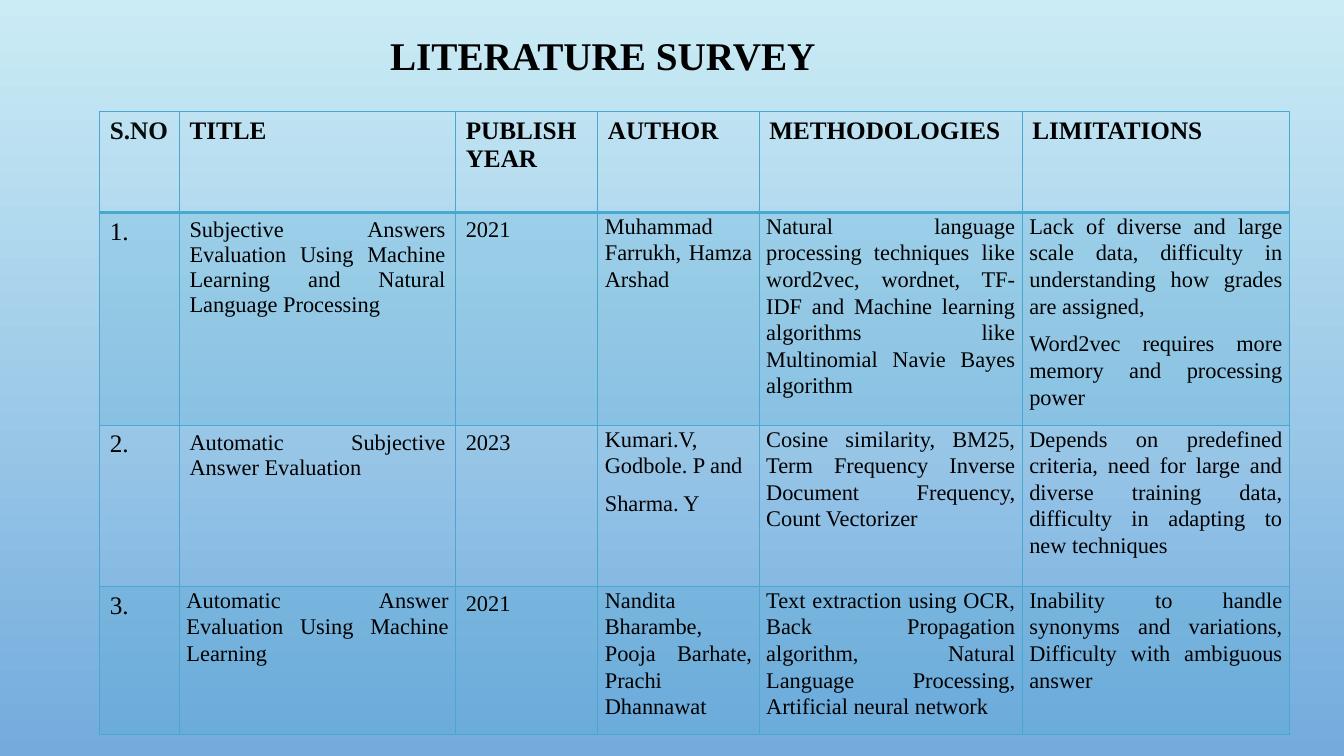
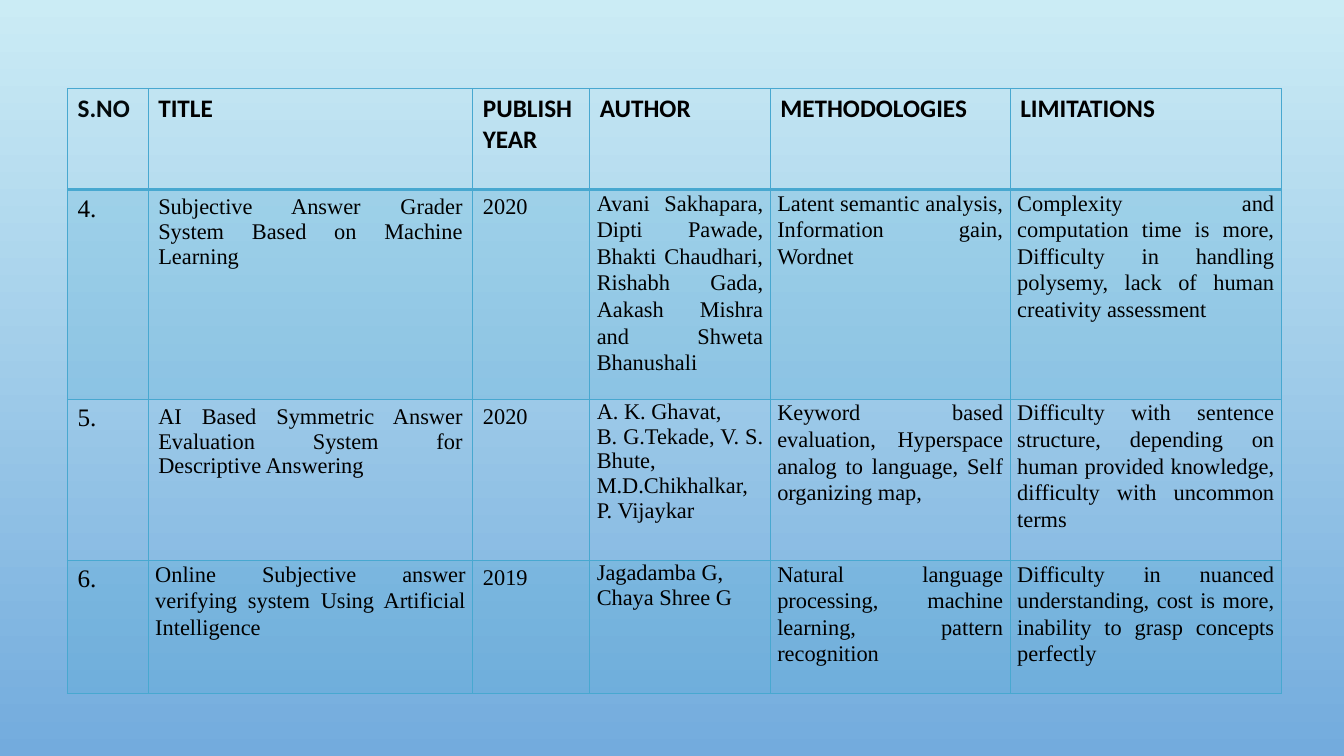
"""Build two literature survey slides, each with a table of three papers."""
import pptx
import pptx.dml.color
import pptx.enum.text
import pptx.oxml
import pptx.oxml.ns
import pptx.util

Inches = pptx.util.Inches
Pt = pptx.util.Pt
ALIGN = pptx.enum.text.PP_ALIGN
COLORS = {
    "sky": "CBECF5",
    "deep": "73ABDD",
    "accent": "48A8D0",
    "text": "000000",
    "number_heading": "030A0C",
}
SERIF = "Times New Roman"
HEADINGS = ["S.NO", "TITLE", "PUBLISH YEAR", "AUTHOR", "METHODOLOGIES", "LIMITATIONS"]


def rgb(name):
    return pptx.dml.color.RGBColor.from_string(COLORS[name])


def write(frame, text, size=16, font=SERIF, color="text", bold=False,
          align=ALIGN.LEFT, spacing=1.0, after=0):
    for index, line in enumerate(text.split("\n")):
        paragraph = frame.add_paragraph() if index else frame.paragraphs[0]
        paragraph.alignment = align
        paragraph.line_spacing = spacing
        paragraph.space_after = Pt(after)
        run = paragraph.add_run()
        run.text = line
        run.font.size = Pt(size)
        run.font.name = font
        run.font.bold = bold
        run.font.color.rgb = rgb(color)


surveys = [
    {
        "title": "LITERATURE SURVEY",
        "heading_font": SERIF,
        "left": 0.99,
        "top": 1.11,
        "widths": [0.79, 2.74, 1.41, 1.6, 2.61, 2.65],
        "heights": [1, 2.11, 1.6, 1.47],
        "single_spaced_authors": [],
        "papers": [
            ["1.", "Subjective Answers Evaluation Using Machine Learning and Natural Language Processing",
             "2021", "Muhammad Farrukh, Hamza Arshad",
             "Natural language processing techniques like word2vec, wordnet, TF-IDF and Machine "
             "learning algorithms like Multinomial Navie Bayes algorithm",
             "Lack of diverse and large scale data, difficulty in understanding how grades are assigned,\n"
             "Word2vec requires more memory and processing power"],
            ["2.", "Automatic Subjective Answer Evaluation",
             "2023", "Kumari.V, Godbole. P and\nSharma. Y",
             "Cosine similarity, BM25, Term Frequency Inverse Document Frequency, Count Vectorizer",
             "Depends on predefined criteria, need for large and diverse training data, "
             "difficulty in adapting to new techniques"],
            ["3.", "Automatic Answer Evaluation Using Machine Learning",
             "2021", "Nandita Bharambe, Pooja Barhate, Prachi Dhannawat",
             "Text extraction using OCR, Back Propagation algorithm, Natural Language Processing, "
             "Artificial neural network",
             "Inability to handle synonyms and variations, Difficulty with ambiguous answer"],
        ],
    },
    {
        "title": None,
        "heading_font": "Calibri",
        "left": 0.67,
        "top": 0.88,
        "widths": [0.8, 3.22, 1.16, 1.79, 2.38, 2.69],
        "heights": [1, 2.08, 1.6, 1.32],
        "single_spaced_authors": ["5.", "6."],
        "papers": [
            ["4.", "Subjective Answer Grader System Based on Machine Learning",
             "2020", "Avani Sakhapara, Dipti Pawade, Bhakti Chaudhari, Rishabh Gada, "
             "Aakash Mishra and Shweta Bhanushali",
             "Latent semantic analysis, Information gain, Wordnet",
             "Complexity and computation time is more, Difficulty in handling polysemy, "
             "lack of human creativity assessment"],
            ["5.", "AI Based Symmetric Answer Evaluation System for Descriptive Answering",
             "2020", "A. K. Ghavat,\nB. G.Tekade, V. S. Bhute, M.D.Chikhalkar, P. Vijaykar",
             "Keyword based evaluation, Hyperspace analog to language, Self organizing map,",
             "Difficulty with sentence structure, depending on human provided knowledge, "
             "difficulty with uncommon terms"],
            ["6.", "Online Subjective answer verifying system Using Artificial Intelligence",
             "2019", "Jagadamba G,\nChaya Shree G",
             "Natural language processing, machine learning, pattern recognition",
             "Difficulty in nuanced understanding, cost is more, inability to grasp concepts perfectly"],
        ],
    },
]

deck = pptx.Presentation()
deck.slide_width = Inches(13.33)
deck.slide_height = Inches(7.5)
backdrop = deck.slide_master.background.fill
backdrop.gradient()
backdrop.gradient_angle = 270
for stop, shade in zip(backdrop.gradient_stops, ["sky", "deep"]):
    stop.color.rgb = rgb(shade)

for survey in surveys:
    slide = deck.slides.add_slide(deck.slide_layouts[6])
    if survey["title"]:
        title = slide.shapes.add_textbox(Inches(3.77), Inches(0.26), Inches(7.31), Inches(0.57))
        title.text_frame.word_wrap = True
        title.text_frame.auto_size = pptx.enum.text.MSO_AUTO_SIZE.SHAPE_TO_FIT_TEXT
        write(title.text_frame, survey["title"], size=28, bold=True)

    rows = [HEADINGS] + survey["papers"]
    table = slide.shapes.add_table(
        len(rows), len(HEADINGS), Inches(survey["left"]), Inches(survey["top"]),
        Inches(sum(survey["widths"])), Inches(sum(survey["heights"]))).table
    table.horz_banding = False
    for column, width in zip(table.columns, survey["widths"]):
        column.width = Inches(width)
    for row, height in zip(table.rows, survey["heights"]):
        row.height = Inches(height)

    for row_index, entries in enumerate(rows):
        for column_index, text in enumerate(entries):
            cell = table.cell(row_index, column_index)
            is_heading = row_index == 0
            is_compact = not is_heading and (
                column_index >= 3 or (column_index == 1 and row_index == len(rows) - 1))
            if is_compact:
                cell.margin_left = cell.margin_right = Inches(0.07)
                cell.margin_top = cell.margin_bottom = 0

            if is_heading:
                write(cell.text_frame, text, size=18, font=survey["heading_font"], bold=True,
                      color="text" if column_index else "number_heading")
            elif column_index == 0:
                write(cell.text_frame, text, size=18)
            elif is_compact and not (
                    column_index == 3 and entries[0] in survey["single_spaced_authors"]):
                write(cell.text_frame, text, align=ALIGN.JUSTIFY, spacing=1.07, after=8)
            else:
                write(cell.text_frame, text, align=ALIGN.JUSTIFY)

            properties = cell._tc.get_or_add_tcPr()
            for side in "LRTB":
                under_heading = (is_heading and side == "B") or (row_index == 1 and side == "T")
                properties.append(pptx.oxml.parse_xml(
                    f'<a:ln{side} {pptx.oxml.ns.nsdecls("a")} w="{Pt(2 if under_heading else 1)}">'
                    f'<a:solidFill><a:srgbClr val="{COLORS["accent"]}"/></a:solidFill></a:ln{side}>'))
            if row_index % 2:
                cell.fill.solid()
                cell.fill.fore_color.rgb = rgb("accent")
                tint = properties.find(pptx.oxml.ns.qn("a:solidFill"))[0]
                tint.append(pptx.oxml.parse_xml(
                    f'<a:alpha {pptx.oxml.ns.nsdecls("a")} val="20000"/>'))
            else:
                cell.fill.background()

deck.save("out.pptx")
